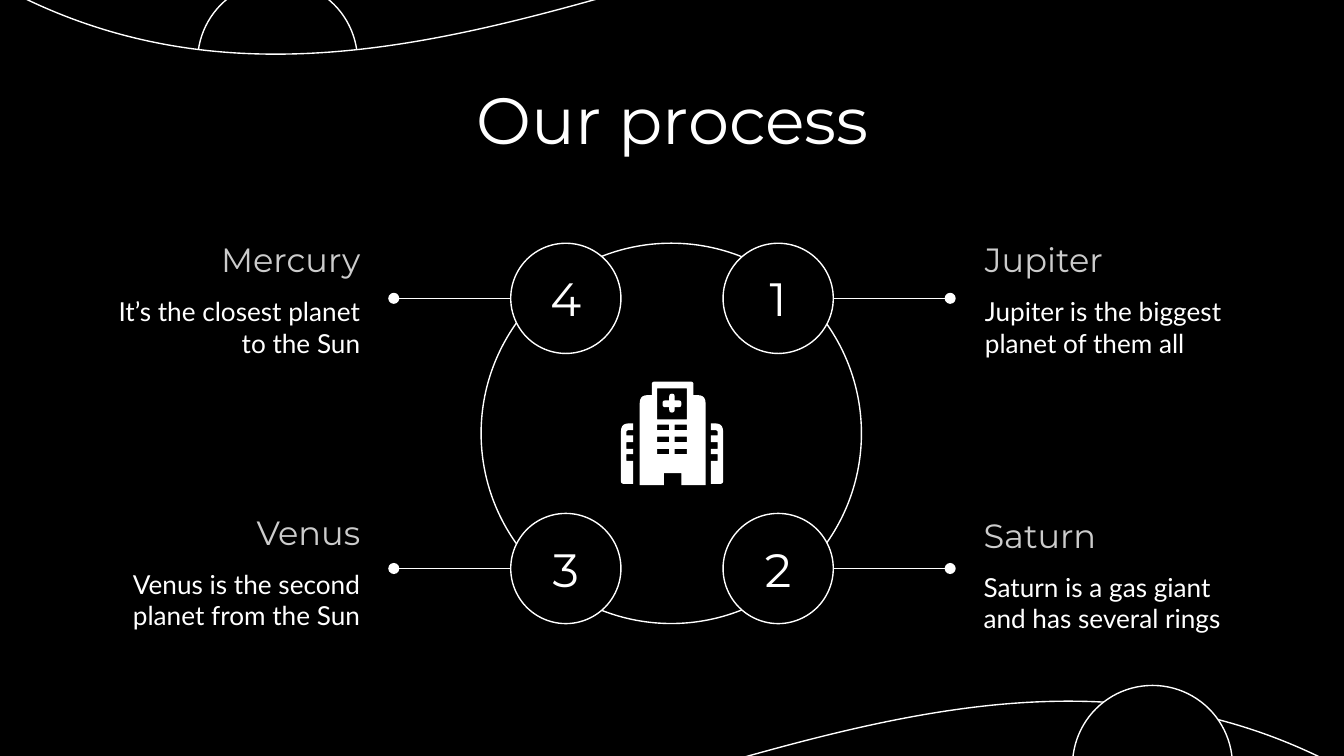
"""Build the four-step process slide with a ring and a hospital icon."""
import lxml.etree
import pptx
import pptx.dml.color
import pptx.enum.shapes
import pptx.enum.text
import pptx.oxml.ns
import pptx.util

Inches = pptx.util.Inches
Pt = pptx.util.Pt
qn = pptx.oxml.ns.qn
KIND = pptx.enum.shapes.MSO_SHAPE
ALIGN = pptx.enum.text.PP_ALIGN
ANCHOR = pptx.enum.text.MSO_ANCHOR

COLORS = {"back": "000000", "fore": "FFFFFF", "head": "CCCCCC"}
TITLE = "Our process"
STEPS = [
    {"num": "3", "name": "Venus", "text": "Venus is the second planet from the Sun",
     "side": "left", "disc": 3.82, "box": (0.78, 3.82)},
    {"num": "2", "name": "Saturn", "text": "Saturn is a gas giant and has several rings",
     "side": "right", "disc": 3.82, "box": (7.22, 3.84)},
    {"num": "4", "name": "Mercury", "text": "It’s the closest planet to the Sun",
     "side": "left", "disc": 1.81, "box": (0.78, 1.79)},
    {"num": "1", "name": "Jupiter", "text": "Jupiter is the biggest planet of them all",
     "side": "right", "disc": 1.81, "box": (7.23, 1.79)},
]
SIDES = {
    "left": {"disc": 3.8, "from": 3.8, "to": 2.93, "align": ALIGN.RIGHT},
    "right": {"disc": 5.38, "from": 6.2, "to": 7.07, "align": ALIGN.LEFT},
}
DISC = 0.82

CROSS = [
    (4.98, 2.93, 0.02), (5.02, 2.93, 0.02), (5.02, 2.98), (5.07, 2.98, 0.02),
    (5.07, 3.03, 0.02), (5.02, 3.03), (5.02, 3.07, 0.02), (4.98, 3.07, 0.02),
    (4.98, 3.03), (4.93, 3.03, 0.02), (4.93, 2.98, 0.02), (4.98, 2.98),
]
WING = [
    (4.71, 3.15), (4.62, 3.15, 0.06), (4.62, 3.6, 0.02), (4.71, 3.6),
    (4.71, 3.43), (4.66, 3.43), (4.66, 3.38), (4.71, 3.38),
    (4.71, 3.34), (4.66, 3.34), (4.66, 3.29), (4.71, 3.29),
    (4.71, 3.24), (4.66, 3.24), (4.66, 3.2, 0.02), (4.71, 3.2),
]
TOWER = [
    (4.76, 3.61), (4.76, 2.94, 0.06), (4.85, 2.94), (4.85, 2.84, 0.02),
    (5.16, 2.84, 0.02), (5.16, 2.94), (5.25, 2.94, 0.06), (5.25, 3.61),
    (5.07, 3.61), (5.07, 3.52), (4.94, 3.52), (4.94, 3.61),
]
PANES = [(4.89, 2.89, 5.11, 3.12)] + [
    (x, y, x + 0.09, y + 0.04) for y in (3.16, 3.25, 3.34) for x in (4.89, 5.02)
]


def tint(name):
    return pptx.dml.color.RGBColor.from_string(COLORS[name])


def write(shape, text, size, font, align, anchor, color="fore"):
    frame = shape.text_frame
    frame.word_wrap = True
    frame.auto_size = pptx.enum.text.MSO_AUTO_SIZE.NONE
    frame.vertical_anchor = anchor
    frame.margin_left = frame.margin_right = Inches(0.1)
    frame.margin_top = frame.margin_bottom = Inches(0.1)
    para = frame.paragraphs[0]
    para.alignment = align
    run = para.add_run()
    run.text = text
    run.font.size = Pt(size)
    run.font.name = font
    run.font.color.rgb = tint(color)


def outline(slide, kind, left, top, width, height):
    shape = slide.shapes.add_shape(
        kind, Inches(left), Inches(top), Inches(width), Inches(height))
    shape.shadow.inherit = False
    shape.fill.solid()
    shape.fill.fore_color.rgb = tint("back")
    shape.line.color.rgb = tint("fore")
    shape.line.width = Pt(0.75)
    return shape


def label(slide, left, top, height, *style):
    box = slide.shapes.add_textbox(
        Inches(left), Inches(top), Inches(2), Inches(height))
    write(box, *style)


def link(slide, start, end, y):
    line = slide.shapes.add_connector(
        pptx.enum.shapes.MSO_CONNECTOR.STRAIGHT,
        Inches(start), Inches(y), Inches(end), Inches(y))
    line.line.color.rgb = tint("fore")
    line.line.width = Pt(0.75)
    props = line.element.spPr
    lxml.etree.SubElement(props.find(qn("a:ln")), qn("a:tailEnd"), type="oval")
    lxml.etree.SubElement(props, qn("a:effectLst"))


def toward(start, goal, reach):
    dx, dy = goal[0] - start[0], goal[1] - start[1]
    part = reach / (dx * dx + dy * dy) ** 0.5
    return start[0] + dx * part, start[1] + dy * part


def soften(points):
    result = []
    for i, point in enumerate(points):
        if len(point) == 2:
            result.append(point)
            continue
        a = toward(point, points[i - 1], point[2])
        b = toward(point, points[(i + 1) % len(points)], point[2])
        for t in (0, 0.2, 0.4, 0.6, 0.8, 1):
            result.append(tuple(
                (1 - t) ** 2 * a[k] + 2 * t * (1 - t) * point[k] + t * t * b[k]
                for k in (0, 1)))
    return result


def solid(slide, *loops):
    loops = [[(Inches(x), Inches(y)) for x, y in loop] for loop in loops]
    build = slide.shapes.build_freeform(*loops[0][0])
    build.add_line_segments(loops[0][1:])
    for loop in loops[1:]:
        build.move_to(*loop[0])
        build.add_line_segments(loop[1:])
    shape = build.convert_to_shape()
    shape.shadow.inherit = False
    shape.fill.solid()
    shape.fill.fore_color.rgb = tint("fore")
    shape.line.fill.background()


def main():
    deck = pptx.Presentation()
    deck.slide_width = Inches(10)
    deck.slide_height = Inches(10 * 9 / 16)
    slide = deck.slides.add_slide(deck.slide_layouts[5])
    slide.background.fill.solid()
    slide.background.fill.fore_color.rgb = tint("back")

    title = slide.shapes.title
    title.left, title.top = Inches(0.79), Inches(0.49)
    title.width, title.height = Inches(8.43), Inches(0.63)
    write(title, TITLE, 35, "Montserrat", ALIGN.CENTER, ANCHOR.TOP)

    outline(slide, KIND.OVAL, 1.47, -0.14, 1.19, 1.19)
    wave = outline(slide, KIND.WAVE, -0.11, -0.76, 10.22, 7.14)
    wave.adjustments[0], wave.adjustments[1] = 0.083, 0
    wave.rotation = 180
    wave.element.spPr.find(qn("a:xfrm")).set("flipH", "1")
    outline(slide, KIND.OVAL, 7.98, 5.1, 1.19, 1.19)
    tree = title.element.getparent()
    tree.append(title.element)

    outline(slide, KIND.OVAL, 3.58, 1.81, 2.83, 2.83)
    for step in STEPS:
        side = SIDES[step["side"]]
        left, top = step["box"]
        disc = outline(slide, KIND.OVAL, side["disc"], step["disc"], DISC, DISC)
        write(disc, step["num"], 25, "Montserrat", ALIGN.CENTER, ANCHOR.MIDDLE)
        label(slide, left, top, 0.39, step["name"], 18, "Montserrat",
              side["align"], ANCHOR.BOTTOM, "head")
        label(slide, left, top + 0.31, 0.6, step["text"], 14, "Lato",
              side["align"], ANCHOR.TOP)
        link(slide, side["from"], side["to"], step["disc"] + DISC / 2)

    wing = soften(WING)
    solid(slide, soften(CROSS))
    solid(slide, wing)
    solid(slide, [(10 - x, y) for x, y in wing])
    solid(slide, soften(TOWER),
          *[[(l, t), (l, b), (r, b), (r, t)] for l, t, r, b in PANES])
    deck.save("out.pptx")


if __name__ == "__main__":
    main()
